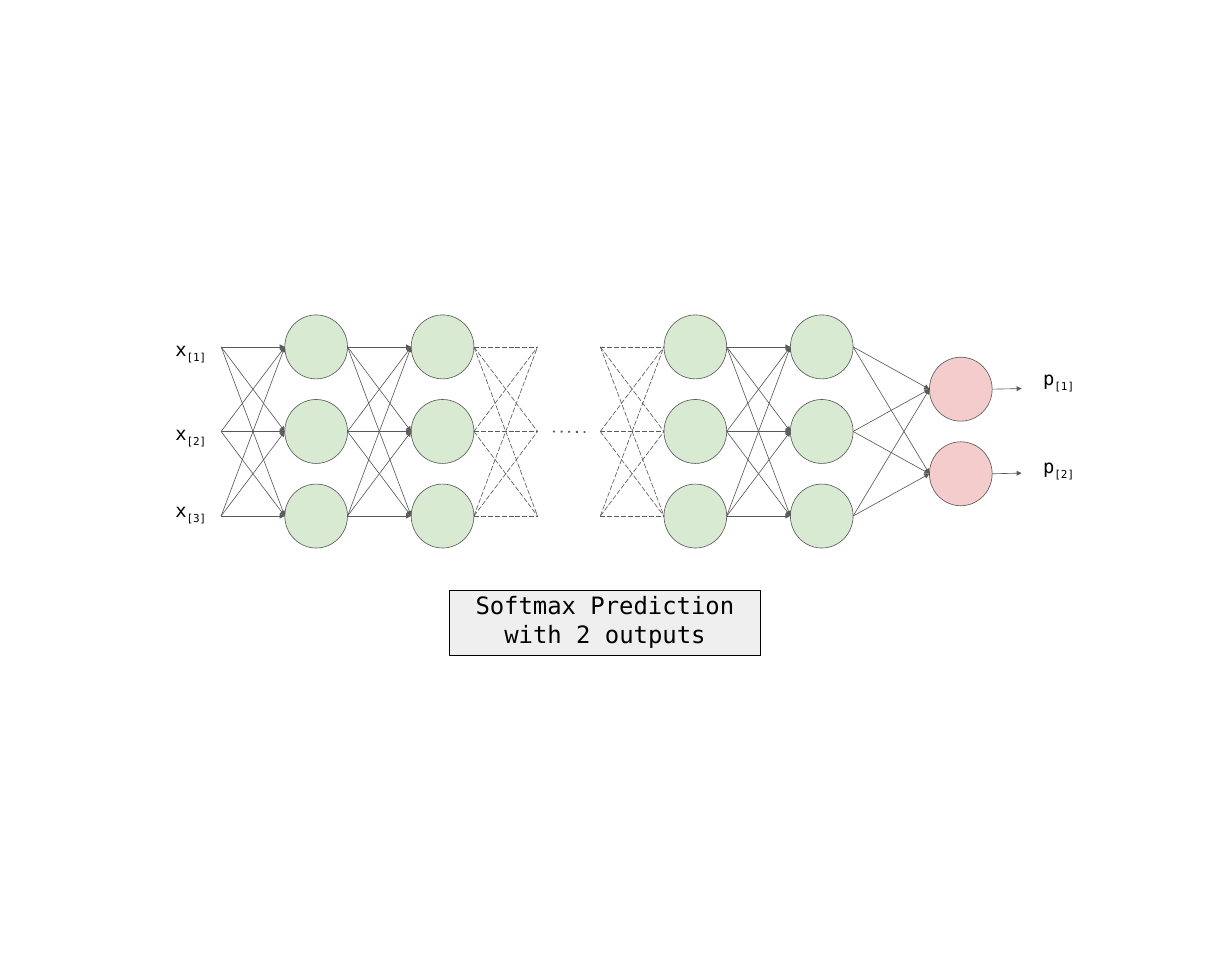
from itertools import product

from lxml.etree import SubElement
from pptx import Presentation
from pptx.dml.color import RGBColor
from pptx.enum.shapes import MSO_CONNECTOR, MSO_SHAPE
from pptx.enum.text import MSO_ANCHOR, PP_ALIGN
from pptx.oxml.ns import qn
from pptx.util import Inches, Pt

FONT = "DejaVu Sans Mono"
BLACK, GREY, PALE_GREY = "000000", "595959", "EFEFEF"
GREEN, PINK = "D9EAD3", "F4CCCC"

# Layers stand on columns, neurons on rows; inputs and the gap are empty columns.
COLUMN_PITCH = (12.85 - 4.63) / 4
ROW_PITCH = (8.39 - 5.64) / 2
NEURON_WIDTH, NEURON_HEIGHT = 1.02, 1.04
INPUTS, FIRST, SECOND, GAP, THIRD, FOURTH, OUTPUTS = -1, 0, 1, 2, 3, 4, 5.1
HIDDEN_ROWS = (0, 1, 2)
OUTPUT_ROWS = (0.5, 1.5)


def left_of(column):
    return 4.63 + column * COLUMN_PITCH


def right_of(column):
    return left_of(column) + NEURON_WIDTH


def middle_of(row):
    return 5.64 + row * ROW_PITCH


def color(value):
    return RGBColor.from_string(value)


def add_box(page, kind, left, top, width, height, fill, outline):
    box = page.shapes.add_shape(
        kind, Inches(left), Inches(top), Inches(width), Inches(height))
    box.shadow.inherit = False
    box.fill.solid()
    box.fill.fore_color.rgb = color(fill)
    box.line.color.rgb = color(outline)
    box.line.width = Pt(0.75)
    return box


def add_layer(page, column, rows, fill):
    for row in rows:
        add_box(page, MSO_SHAPE.OVAL, left_of(column),
                middle_of(row) - NEURON_HEIGHT / 2,
                NEURON_WIDTH, NEURON_HEIGHT, fill, GREY)


def add_line(page, start, end, dash=None, width=0.75):
    """Draw a dashed line, or an arrow when no dash is given."""
    line = page.shapes.add_connector(
        MSO_CONNECTOR.STRAIGHT, *map(Inches, start + end))
    line.line.color.rgb = color(GREY)
    line.line.width = Pt(width)
    properties = line.element.spPr
    stroke = properties.find(qn("a:ln"))
    if dash:
        SubElement(stroke, qn("a:prstDash")).set("val", dash)
    else:
        SubElement(stroke, qn("a:tailEnd")).set("type", "triangle")
    SubElement(properties, qn("a:effectLst"))


def link_layers(page, source, target, target_rows=HIDDEN_ROWS, dash=None):
    for row, target_row in product(HIDDEN_ROWS, target_rows):
        add_line(page, (right_of(source), middle_of(row)),
                 (left_of(target), middle_of(target_row)), dash)


def set_up_frame(frame):
    frame.word_wrap = True
    frame.vertical_anchor = MSO_ANCHOR.TOP
    frame.margin_left = frame.margin_right = Inches(0.2)
    frame.margin_top = frame.margin_bottom = 0


def format_span(span, size):
    span.font.name = FONT
    span.font.size = Pt(size)
    span.font.color.rgb = color(BLACK)


def add_label(page, left, top, name, index):
    """Write a variable name with its index in brackets as a subscript."""
    box = page.shapes.add_textbox(
        Inches(left), Inches(top), Inches(1.02), Inches(0.63))
    set_up_frame(box.text_frame)
    para = box.text_frame.paragraphs[0]
    for text in (name, f"[{index}]"):
        span = para.add_run()
        span.text = text
        format_span(span, 22)
    span.font._element.set("baseline", "-25000")


def add_caption(page, text):
    box = add_box(page, MSO_SHAPE.RECTANGLE, 7.31, 9.6, 5.05, 1.05,
                  PALE_GREY, BLACK)
    set_up_frame(box.text_frame)
    box.text_frame.text = text
    para = box.text_frame.paragraphs[0]
    para.alignment = PP_ALIGN.CENTER
    format_span(para.runs[0], 28)


def main():
    deck = Presentation()
    deck.slide_width, deck.slide_height = Inches(20.03), Inches(15.77)
    page = deck.slides.add_slide(deck.slide_layouts[6])

    for column in (FIRST, SECOND, THIRD, FOURTH):
        add_layer(page, column, HIDDEN_ROWS, GREEN)
    add_layer(page, OUTPUTS, OUTPUT_ROWS, PINK)

    for source, target in ((INPUTS, FIRST), (FIRST, SECOND), (THIRD, FOURTH)):
        link_layers(page, source, target)
    for source, target in ((SECOND, GAP), (GAP, THIRD)):
        link_layers(page, source, target, dash="lgDash")
    link_layers(page, FOURTH, OUTPUTS, OUTPUT_ROWS)
    add_line(page, (left_of(GAP) + 0.25, middle_of(1)),
             (right_of(GAP) - 0.21, middle_of(1) + 0.01), "dot", 2.25)

    for row in OUTPUT_ROWS:
        start = right_of(OUTPUTS)
        add_line(page, (start, middle_of(row)),
                 (start + 0.48, middle_of(row) - 0.01))

    for name, left, tops in (("x", 2.65, (5.49, 6.86, 8.11)),
                             ("p", 16.76, (5.96, 7.39))):
        for index, top in enumerate(tops, start=1):
            add_label(page, left, top, name, index)
    add_caption(page, "Softmax Prediction with 2 outputs")

    deck.save("out.pptx")


if __name__ == "__main__":
    main()
